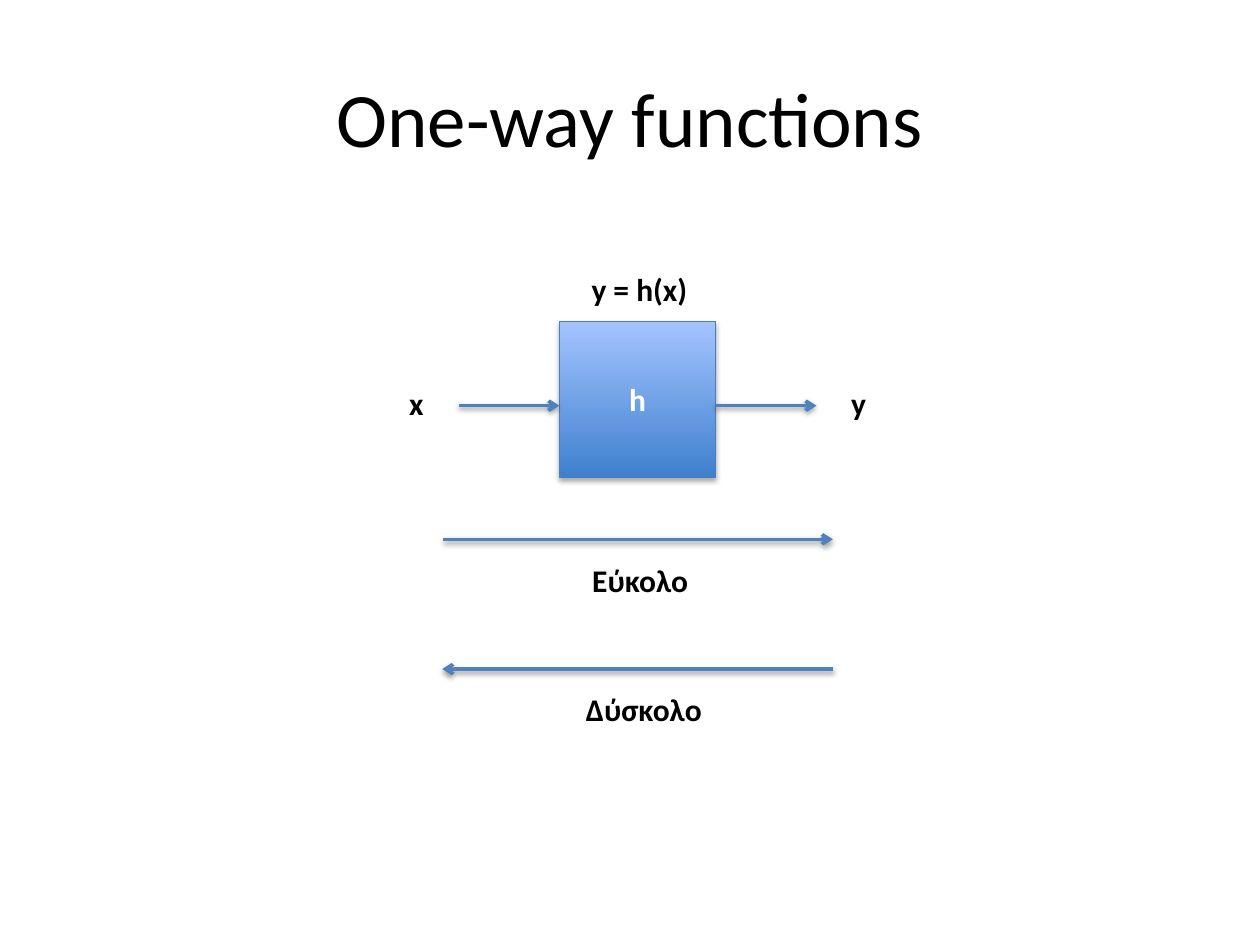
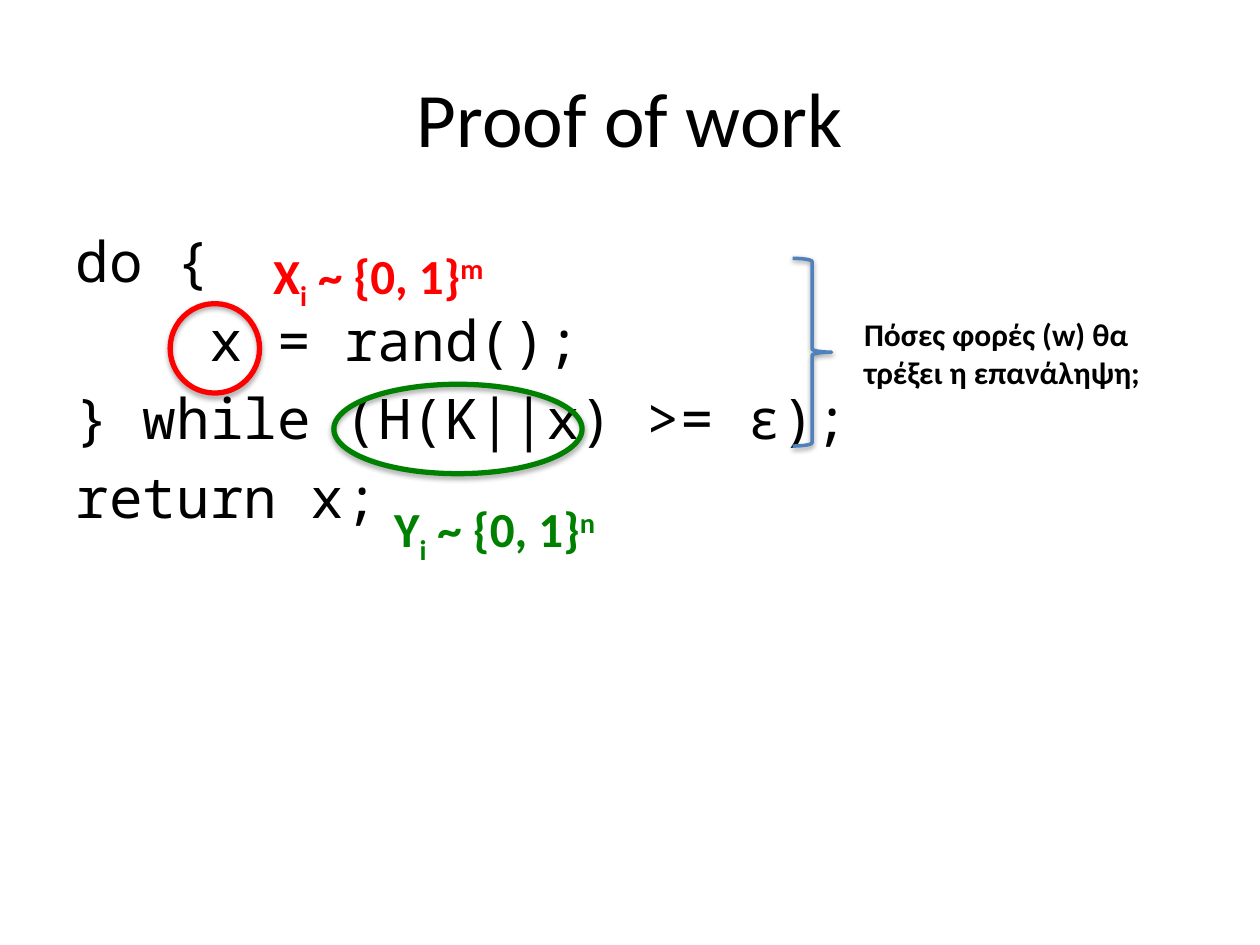
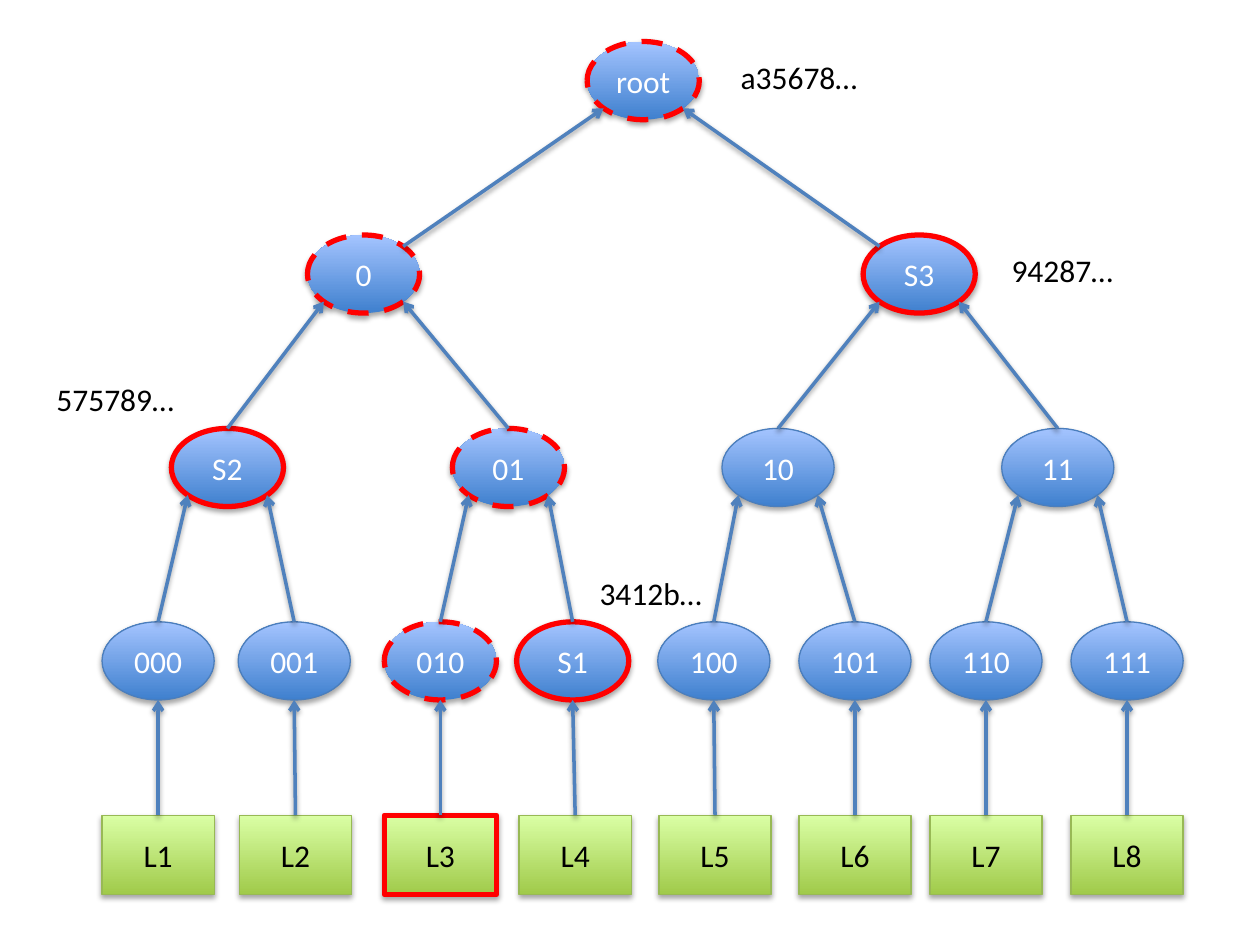
from lxml import etree
from pptx import Presentation
from pptx.dml.color import RGBColor
from pptx.enum.dml import MSO_LINE
from pptx.enum.shapes import MSO_CONNECTOR, MSO_SHAPE
from pptx.enum.text import MSO_ANCHOR, MSO_AUTO_SIZE, PP_ALIGN
from pptx.oxml.ns import qn
from pptx.util import Inches, Pt

RECTANGLE, OVAL, BRACE = MSO_SHAPE.RECTANGLE, MSO_SHAPE.OVAL, MSO_SHAPE.RIGHT_BRACE
STRAIGHT, DASH = MSO_CONNECTOR.STRAIGHT, MSO_LINE.DASH
LEFT, CENTER, MIDDLE = PP_ALIGN.LEFT, PP_ALIGN.CENTER, MSO_ANCHOR.MIDDLE
GROW = MSO_AUTO_SIZE.SHAPE_TO_FIT_TEXT
TITLE_AND_BODY, TITLE_ONLY, BLANK = 1, 5, 6

COLORS = {
    "black": "000000", "white": "FFFFFF", "red": "FF0000", "green": "008000",
    "arrow": "4F81BD", "node_edge": "4B7EBC", "leaf_edge": "98B955",
}
GRADIENTS = {"node": ("3F80CE", "A4C4FF"), "leaf": ("A0CA4A", "DAFFA5")}
SANS, MONO = "Calibri", "Noto Sans Mono"

# Line styles: colour, width, dashed
NODE_LINE = ("node_edge", 0.75, False)
LEAF_LINE = ("leaf_edge", 0.75, False)
PROOF_LINE = ("red", 3, False)
PATH_LINE = ("red", 3, True)

# One-way function: labels (text, left, top, width) and arrows (start, end)
FUNCTION_BOX = (4.44, 2.55, 1.24, 1.24)
FUNCTION_LABELS = [
    ("x", 3.1, 3, 0.41), ("y", 6.61, 3, 0.41), ("y = h(x)", 4.59, 2.09, 0.97),
    ("Εύκολο", 4.59, 4.4, 0.98), ("Δύσκολο", 4.54, 5.43, 1.14),
]
FUNCTION_ARROWS = [
    ((3.64, 3.22), (4.44, 3.22)), ((5.68, 3.22), (6.48, 3.22)),
    ((3.52, 4.28), (6.61, 4.28)), ((6.61, 5.31), (3.51, 5.31)),
]

# Proof of work: code lines with their indent in characters
CODE = [("do {", 0), ("x = rand();", 4), ("} while (H(K||x) >= ε);", 0), ("return x;", 0)]
CODE_SIZE, CHARACTER_SHARE = 32, 0.6
LOOP_QUESTION = "Πόσες φορές (w) θα τρέξει η επανάληψη;"
# Ring area, label place, symbol, exponent, colour
DRAWS = [
    ((1.35, 2.41, 0.71, 0.71), (2.07, 1.9), "X", "m", "red"),
    ((2.65, 3.05, 1.97, 0.71), (3.03, 3.91), "Y", "n", "green"),
]

# Hash tree: rows of (label, left, line style), root first
TREE = [
    [("root", 4.66, PATH_LINE)],
    [("0", 2.44, PATH_LINE), ("S3", 6.85, PROOF_LINE)],
    [("S2", 1.36, PROOF_LINE), ("01", 3.59, PATH_LINE),
     ("10", 5.73, NODE_LINE), ("11", 7.95, NODE_LINE)],
    [("000", 0.81, NODE_LINE), ("001", 1.89, NODE_LINE),
     ("010", 3.05, PATH_LINE), ("S1", 4.1, PROOF_LINE),
     ("100", 5.22, NODE_LINE), ("101", 6.34, NODE_LINE),
     ("110", 7.38, NODE_LINE), ("111", 8.5, NODE_LINE)],
]
LEAF_LEFTS = [0.81, 1.9, 3.05, 4.12, 5.23, 6.34, 7.38, 8.5]
CHOSEN_LEAF = 2
HASHES = [("a35678…", 5.78, 0.41, 1.14), ("94287…", 7.93, 1.94, 1.03),
          ("3412b…", 4.66, 4.51, 1.02), ("575789…", 0.35, 2.97, 1.14)]
TREE_TOP, LEAF_TOP = 0.33, 6.47
ROW_STEP = (LEAF_TOP - TREE_TOP) / len(TREE)
NODE_WIDTH, NODE_HEIGHT, LEAF_HEIGHT = 0.89, 0.62, 0.63
DIAGONAL = 0.5 ** 0.5 / 2  # share of an oval's size from its centre to a 45° point


def rgb(name):
    return RGBColor.from_string(COLORS.get(name, name))


def write(frame, paragraphs, size=18, font=SANS, color="black", bold=False, align=LEFT):
    """Fill a frame; a paragraph is a string or a list of (text, baseline percent)."""
    for index, content in enumerate(paragraphs):
        para = frame.add_paragraph() if index else frame.paragraphs[0]
        para.alignment = align
        for text, baseline in [(content, 0)] if isinstance(content, str) else content:
            span = para.add_run()
            span.text = text
            span.font.size, span.font.name, span.font.bold = Pt(size), font, bold
            span.font.color.rgb = rgb(color)
            if baseline:
                span.font._element.set("baseline", str(baseline * 1000))


def add_label(page, content, left, top, width, height=0.4, wrap=False, **style):
    box = page.shapes.add_textbox(*map(Inches, (left, top, width, height)))
    box.text_frame.word_wrap = wrap
    box.text_frame.auto_size = GROW
    write(box.text_frame, [content], **style)


def add_shadow(shape, opacity, distance):
    properties = shape._element.spPr
    effects = properties.find(qn("a:effectLst"))
    if effects is None:
        effects = etree.SubElement(properties, qn("a:effectLst"))
    shadow = etree.SubElement(effects, qn("a:outerShdw"), blurRad=str(Pt(3.1)),
                              dist=str(Pt(distance)), dir="5400000", rotWithShape="0")
    black = etree.SubElement(shadow, qn("a:srgbClr"), val=COLORS["black"])
    etree.SubElement(black, qn("a:alpha"), val=str(opacity * 1000))


def add_figure(page, kind, area, line, gradient=None, text=None,
               shadow=(35, 1.8), **style):
    shape = page.shapes.add_shape(kind, *map(Inches, area))
    if gradient:
        shape.fill.gradient()
        shape.fill.gradient_angle = 90
        for stop, color in zip(shape.fill.gradient_stops, GRADIENTS[gradient]):
            stop.color.rgb = rgb(color)
    else:
        shape.fill.background()
    color, width, dashed = line
    shape.line.color.rgb = rgb(color)
    shape.line.width = Pt(width)
    if dashed:
        shape.line.dash_style = DASH
    shape.shadow.inherit = False
    add_shadow(shape, *shadow)
    if text:
        shape.text_frame.vertical_anchor = MIDDLE
        write(shape.text_frame, [text], align=CENTER, **style)


def add_arrow(page, start, end):
    arrow = page.shapes.add_connector(STRAIGHT, *map(Inches, (*start, *end)))
    arrow.line.color.rgb = rgb("arrow")
    arrow.line.width = Pt(2)
    etree.SubElement(arrow.line._get_or_add_ln(), qn("a:tailEnd"), type="arrow")
    add_shadow(arrow, 38, 1.6)


def add_page(deck, layout, title=None):
    page = deck.slides.add_slide(deck.slide_layouts[layout])
    if title:
        write(page.shapes.title.text_frame, [title], size=44, align=CENTER)
    return page


def build_function(deck):
    page = add_page(deck, TITLE_ONLY, "One-way functions")
    add_figure(page, RECTANGLE, FUNCTION_BOX, NODE_LINE, "node", "h",
               color="white", bold=True)
    for text, left, top, width in FUNCTION_LABELS:
        add_label(page, text, left, top, width, bold=True, align=CENTER)
    for start, end in FUNCTION_ARROWS:
        add_arrow(page, start, end)


def build_proof(deck):
    page = add_page(deck, TITLE_AND_BODY, "Proof of work")
    frame = page.placeholders[1].text_frame
    write(frame, [text for text, _ in CODE], size=CODE_SIZE, font=MONO)
    for para, (_, indent) in zip(frame.paragraphs, CODE):
        properties = para._p.get_or_add_pPr()
        properties.set("marL", str(Pt(indent * CODE_SIZE * CHARACTER_SHARE)))
        properties.set("indent", "0")
        etree.SubElement(properties, qn("a:buNone"))
    add_figure(page, BRACE, (6.29, 2.05, 0.31, 1.49), ("arrow", 2, False),
               shadow=(38, 1.6))
    add_label(page, LOOP_QUESTION, 6.76, 2.45, 2.48, 0.71, wrap=True, bold=True)
    for ring, (left, top), symbol, exponent, color in DRAWS:
        add_figure(page, OVAL, ring, (color, 3, False))
        formula = [(symbol, -25), ] and [(symbol, 0), ("i", -25), (" ~ {0, 1}", 0), (exponent, 30)]
        add_label(page, formula, left, top, 1.93, 0.57, size=28, color=color, bold=True)


def oval_point(left, row, across, down):
    """Point of a node, as shares of its size from its centre."""
    return (left + NODE_WIDTH * (0.5 + across),
            TREE_TOP + row * ROW_STEP + NODE_HEIGHT * (0.5 + down))


def build_tree(deck):
    page = add_page(deck, BLANK)
    # Nodes
    for row, nodes in enumerate(TREE):
        for text, left, line in nodes:
            area = (left, TREE_TOP + row * ROW_STEP, NODE_WIDTH, NODE_HEIGHT)
            add_figure(page, OVAL, area, line, "node", text, color="white")
    # Arrows from each node to its parent
    for row, nodes in enumerate(TREE[1:], start=1):
        for index, (_, left, _) in enumerate(nodes):
            side = DIAGONAL if index % 2 else -DIAGONAL
            parent_left = TREE[row - 1][index // 2][1]
            start = (-side, -DIAGONAL) if row == 1 else (0, -0.5)
            add_arrow(page, oval_point(left, row, *start),
                      oval_point(parent_left, row - 1, side, DIAGONAL))
    # Leaves with their arrows
    last = len(TREE) - 1
    for index, left in enumerate(LEAF_LEFTS):
        line = PROOF_LINE if index == CHOSEN_LEAF else LEAF_LINE
        add_figure(page, RECTANGLE, (left, LEAF_TOP, NODE_WIDTH, LEAF_HEIGHT),
                   line, "leaf", f"L{index + 1}")
        add_arrow(page, (left + NODE_WIDTH / 2, LEAF_TOP),
                  oval_point(TREE[last][index][1], last, 0, 0.5))
    for text, left, top, width in HASHES:
        add_label(page, text, left, top, width)


def main():
    deck = Presentation()
    deck.slide_width, deck.slide_height = Inches(10), Inches(7.5)
    build_function(deck)
    build_proof(deck)
    build_tree(deck)
    deck.save("out.pptx")


if __name__ == "__main__":
    main()
